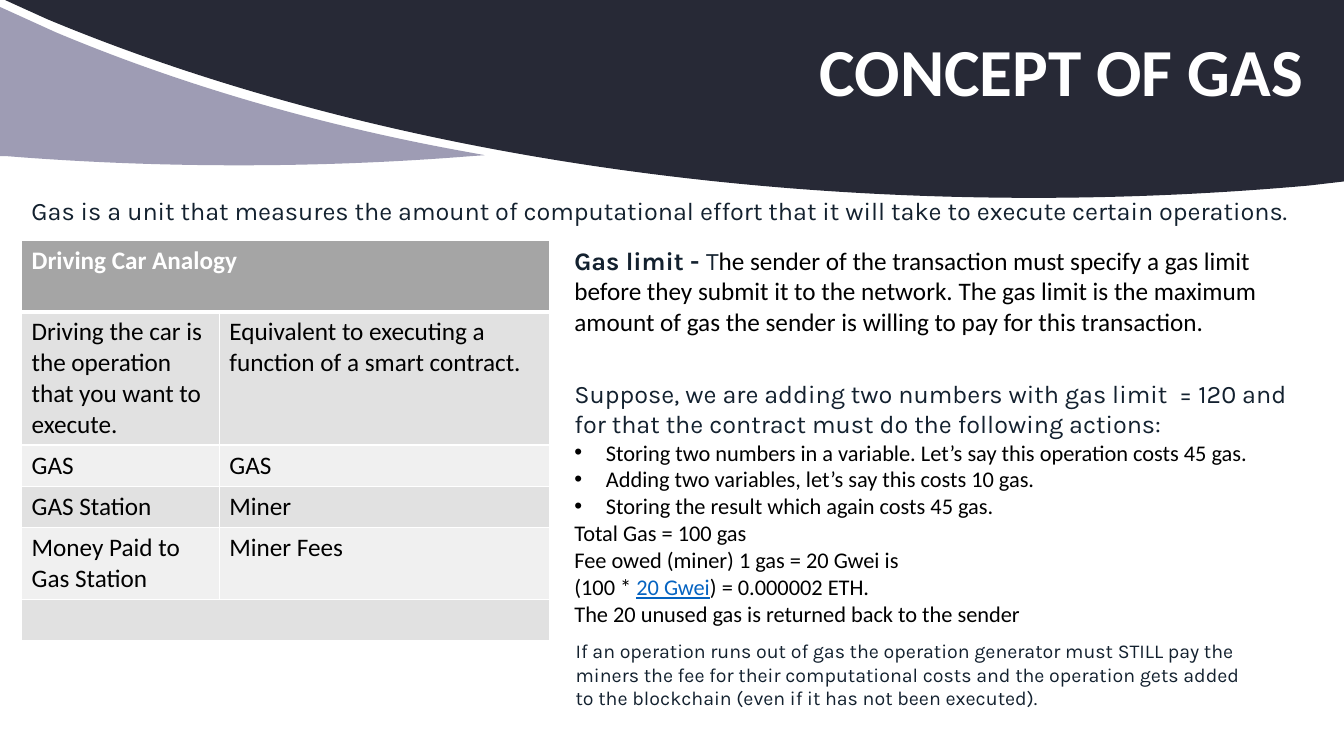
"""Build the "Concept of Gas" slide."""
from lxml.etree import SubElement
from pptx import Presentation
from pptx.dml.color import RGBColor
from pptx.enum.text import MSO_ANCHOR as Anchor, PP_ALIGN as Align
from pptx.oxml.ns import qn
from pptx.util import Pt

COLORS = {
    "navy": "272936", "lilac": "9E9CB4", "white": "FFFFFF", "black": "000000",
    "ink": "13212F", "link": "0563C1", "header": "A5A5A5",
    "band dark": "E1E1E1", "band light": "F0F0F0",
}
STYLES = {
    "title": ("Calibri", 48, "white", True),
    "header": ("Calibri", 18, "white", True),
    "cell": ("Calibri", 18, "black", False),
    "intro": ("Karla", 18, "ink", False),
    "term": ("Karla", 18, "ink", True),
    "step": ("Calibri", 16, "black", False),
    "link": ("Calibri", 16, "link", False),
    "footnote": ("Karla", 14, "ink", False),
}


def color(name):
    return RGBColor.from_string(COLORS[name])


def style_run(run, style):
    face, size, tint, bold = STYLES[style]
    run.font.name = face
    run.font.size = Pt(size)
    run.font.bold = bold
    run.font.color.rgb = color(tint)
    if style == "link":
        run.font.underline = True


deck = Presentation()
deck.slide_width, deck.slide_height = Pt(960), Pt(540)
slide = deck.slides.add_slide(deck.slide_layouts[5])

waves = [
    ("navy", [[(3.6, 0)], [(960, 0)], [(960, 129.6)], [(935.3, 132.5)],
              [(871.2, 138.2), (805.7, 141.3), (738.7, 141.3)],
              [(470.9, 141.3), (225.4, 93.6), (33.8, 13.7)]]),
    ("lilac", [[(0, 5)], [(39.6, 23)],
               [(125.3, 59), (223.9, 88.6), (330.5, 108)],
               [(346.3, 110.9)], [(336.2, 111.6)],
               [(282.2, 115.9), (226.8, 118.1), (170.6, 118.1)],
               [(114.5, 118.1), (59, 115.9), (5, 111.6)], [(0, 111.6)]]),
]
for tint, segments in waves:
    anchors = [(Pt(x), Pt(y)) for x, y in (segment[-1] for segment in segments)]
    builder = slide.shapes.build_freeform(*anchors[0])
    builder.add_line_segments(anchors[1:], close=True)
    wave = builder.convert_to_shape()
    wave.shadow.inherit = False
    wave.fill.solid()
    wave.fill.fore_color.rgb = color(tint)
    wave.line.fill.background()
    edges = list(wave.element.iter(qn("a:lnTo")))
    for edge, (*controls, _) in zip(edges, segments[1:]):
        if controls:
            curve = edge.makeelement(qn("a:cubicBezTo"))
            for x, y in controls:
                SubElement(curve, qn("a:pt"),
                           x=str(Pt(x) - wave.left), y=str(Pt(y) - wave.top))
            curve.append(edge[0])
            edge.getparent().replace(edge, curve)

title = slide.shapes.title
slide.shapes.element.append(title.element)
title.left, title.top, title.width, title.height = Pt(66), Pt(1.4), Pt(894), Pt(104.4)
title.text_frame.text = "CONCEPT OF GAS"
title.text_frame.vertical_anchor = Anchor.MIDDLE
title.text_frame.margin_right = Pt(28.8)
heading = title.text_frame.paragraphs[0]
heading.alignment = Align.RIGHT
heading.line_spacing = 0.9
style_run(heading.runs[0], "title")

analogy_rows = [
    (51, "Driving Car Analogy", ""),
    (95, "Driving the car is the operation that you want to execute.",
     "Equivalent to executing a function of a smart contract."),
    (29.5, "GAS", "GAS"),
    (29.5, "GAS Station", "Miner"),
    (51, "Money Paid to Gas Station", "Miner Fees"),
    (29.5, "", ""),
]
last_row = len(analogy_rows) - 1
analogy = slide.shapes.add_table(
    len(analogy_rows), 2, Pt(15.4), Pt(171.8), Pt(377.3), Pt(285.5)).table
analogy.columns[0].width, analogy.columns[1].width = Pt(141.3), Pt(236)
for r, (height, *labels) in enumerate(analogy_rows):
    analogy.rows[r].height = Pt(height)
    band = "header" if r == 0 else "band dark" if r % 2 else "band light"
    for col, label in enumerate(labels):
        cell = analogy.cell(r, col)
        cell.text = label
        for run in cell.text_frame.paragraphs[0].runs:
            style_run(run, "cell" if r else "header")
        borders = cell._tc.get_or_add_tcPr()
        for side in ("lnL", "lnR", "lnT", "lnB"):
            weight = 3 if (r, side) == (0, "lnB") else 1
            border = SubElement(borders, qn(f"a:{side}"), w=str(Pt(weight)))
            SubElement(SubElement(border, qn("a:solidFill")), qn("a:srgbClr"),
                       val=COLORS["white"])
        cell.fill.solid()
        cell.fill.fore_color.rgb = color(band)
for r in (0, last_row):
    analogy.cell(r, 0).merge(analogy.cell(r, 1))

passages = [
    ((15.4, 136.1, 922.3, 28.8), [
        [("Gas is a unit that measures the amount of computational effort that it "
          "will take to execute certain operations.", "intro")]]),
    ((403.2, 171.8, 506.2, 94.3), [
        [("Gas limit - ", "term"), ("T", "intro"),
         ("he sender of the transaction must specify a gas limit before they submit "
          "it to the network. The gas limit is the maximum amount of gas the sender "
          "is willing to pay for this transaction.", "cell")]]),
    ((403.2, 266.6, 541.4, 186.5), [
        [("Suppose, we are adding two numbers with gas limit  = 120 and for that the "
          "contract must do the following actions:", "intro")],
        [("•", "bullet"), ("Storing two numbers in a variable. Let’s say this "
                           "operation costs 45 gas.", "step")],
        [("•", "bullet"), ("Adding two variables, let’s say this costs 10 gas.", "step")],
        [("•", "bullet"), ("Storing the result which again costs 45 gas.", "step")],
        [("Total Gas = 100 gas", "step")],
        [("Fee owed (miner) 1 gas = 20 Gwei is", "step")],
        [("(100 * ", "step"), ("20 Gwei", "link"), (") = 0.000002 ETH.", "step")],
        [("The 20 unused gas is returned back to the sender", "step")]]),
    ((404.1, 452.9, 494.6, 58.3), [
        [("If an operation runs out of gas the operation generator must STILL pay "
          "the miners the fee for their computational costs and the operation gets "
          "added to the blockchain (even if it has not been executed).", "footnote")]]),
]
for bounds, paragraphs in passages:
    frame = slide.shapes.add_textbox(*map(Pt, bounds)).text_frame
    frame.word_wrap = True
    for i, pieces in enumerate(paragraphs):
        paragraph = frame.add_paragraph() if i else frame.paragraphs[0]
        for words, style in pieces:
            if style == "bullet":
                layout = paragraph._p.get_or_add_pPr()
                layout.set("marL", str(Pt(22.5)))
                layout.set("indent", str(Pt(-22.5)))
                SubElement(layout, qn("a:buFont"), typeface="Arial")
                SubElement(layout, qn("a:buChar"), char=words)
                continue
            run = paragraph.add_run()
            run.text = words
            style_run(run, style)

deck.save("out.pptx")
